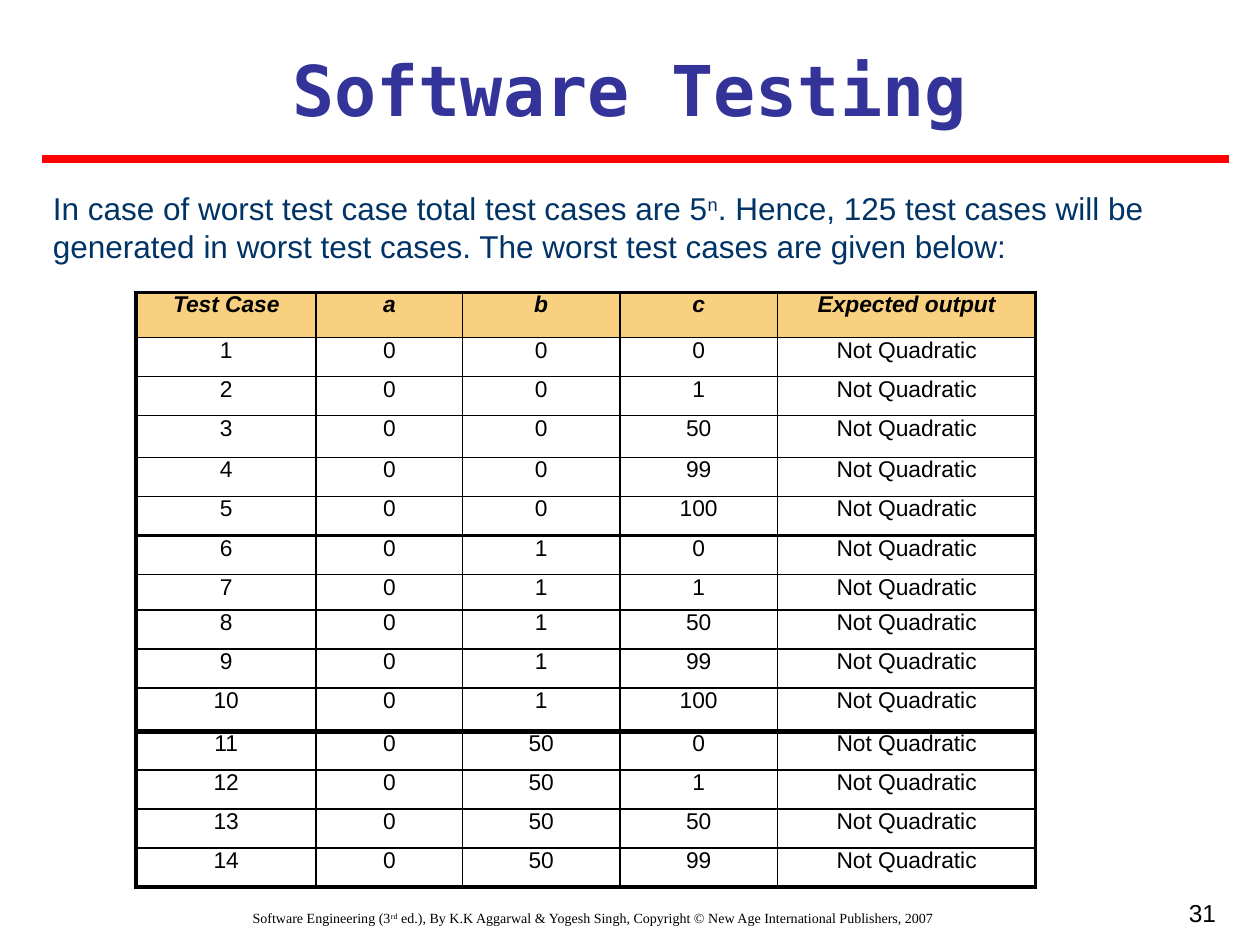
from itertools import product

from lxml.etree import SubElement
from pptx import Presentation
from pptx.dml.color import RGBColor
from pptx.enum.shapes import MSO_CONNECTOR
from pptx.enum.text import MSO_ANCHOR, PP_ALIGN
from pptx.oxml.ns import qn
from pptx.util import Inches, Pt

COLORS = {
    "title": "333399",
    "rule": "FF0000",
    "intro": "003366",
    "text": "000000",
    "border": "000000",
    "header": "F8D080",
}
THIN, THICK = 1, 2.25
COLUMN_WIDTHS = [1.43, 1.16, 1.25, 1.25, 2.05]
HEADER = ["Test Case", "a", "b", "c", "Expected output"]
BOUNDARY_VALUES = [0, 1, 50, 99, 100]
TABLE_LEFT = 1.08
# Top and row heights of each table
TABLE_ROWS = [
    (2.32, [0.36, 0.31, 0.31, 0.33, 0.31, 0.31]),
    (4.25, [0.31, 0.28, 0.31, 0.31, 0.35]),
    (5.8, [0.31] * 4),
]


def style_font(paragraph, name, size, color, bold=False, italic=False):
    font = paragraph.font
    font.name, font.size = name, Pt(size)
    font.bold, font.italic = bold, italic
    font.color.rgb = RGBColor.from_string(COLORS[color])


def add_title(slide, text, left, top, width, height):
    title = slide.shapes.title
    title.left, title.top = Inches(left), Inches(top)
    title.width, title.height = Inches(width), Inches(height)
    frame = title.text_frame
    frame.vertical_anchor = MSO_ANCHOR.MIDDLE
    frame.text = text
    frame.paragraphs[0].alignment = PP_ALIGN.CENTER
    style_font(frame.paragraphs[0], "DejaVu Sans Mono", 40, "title", bold=True)


def add_rule(slide, left, top, width):
    rule = slide.shapes.add_connector(
        MSO_CONNECTOR.STRAIGHT,
        Inches(left), Inches(top), Inches(left + width), Inches(top))
    rule.line.color.rgb = RGBColor.from_string(COLORS["rule"])
    rule.line.width = Pt(4.5)
    SubElement(rule._element.spPr, qn("a:effectLst"))


def add_text(slide, parts, left, top, width, height, font, size, color,
             align=PP_ALIGN.LEFT, inset=True):
    """Add a one-paragraph box; every second part is superscript."""
    box = slide.shapes.add_textbox(
        Inches(left), Inches(top), Inches(width), Inches(height))
    frame = box.text_frame
    frame.word_wrap = True
    if not inset:
        frame.margin_left = frame.margin_right = 0
        frame.margin_top = frame.margin_bottom = 0
    paragraph = frame.paragraphs[0]
    paragraph.alignment = align
    style_font(paragraph, font, size, color)
    for index, part in enumerate(parts):
        run = paragraph.add_run()
        run.text = part
        if index % 2:
            run.font._element.set("baseline", "30000")


def set_borders(cell, widths):
    """Draw the left, right, top and bottom borders in the given points."""
    properties = cell._tc.get_or_add_tcPr()
    for side, width in zip("LRTB", widths):
        line = SubElement(properties, qn(f"a:ln{side}"), w=str(Pt(width)))
        fill = SubElement(line, qn("a:solidFill"))
        SubElement(fill, qn("a:srgbClr"), val=COLORS["border"])


def fill_cell(cell, text, is_header):
    cell.margin_left = cell.margin_right = Inches(0.1)
    cell.margin_top = cell.margin_bottom = 0
    cell.text = str(text)
    paragraph = cell.text_frame.paragraphs[0]
    paragraph.alignment = PP_ALIGN.CENTER
    style_font(paragraph, "Arial", 13, "text", bold=is_header, italic=is_header)
    if is_header:
        cell.fill.solid()
        cell.fill.fore_color.rgb = RGBColor.from_string(COLORS["header"])
    else:
        cell.fill.background()


def add_case_table(slide, rows, left, top, row_heights):
    table = slide.shapes.add_table(
        len(rows), len(COLUMN_WIDTHS), Inches(left), Inches(top),
        Inches(sum(COLUMN_WIDTHS)), Inches(sum(row_heights))).table
    table.first_row = table.horz_banding = False
    for column, width in zip(table.columns, COLUMN_WIDTHS):
        column.width = Inches(width)
    last_row, last_column = len(rows) - 1, len(COLUMN_WIDTHS) - 1
    for r, (values, height) in enumerate(zip(rows, row_heights)):
        table.rows[r].height = Inches(height)
        for c, value in enumerate(values):
            cell = table.cell(r, c)
            outer_edges = (c == 0, c == last_column, r == 0, r == last_row)
            set_borders(cell, [THICK if outer else THIN for outer in outer_edges])
            fill_cell(cell, value, is_header=values is HEADER)


def add_case_tables(slide):
    inputs = product(BOUNDARY_VALUES, repeat=3)
    cases = ([number, *abc, "Not Quadratic"]
             for number, abc in enumerate(inputs, start=1))
    for index, (top, heights) in enumerate(TABLE_ROWS):
        rows = [HEADER] if index == 0 else []
        rows += [next(cases) for _ in heights[len(rows):]]
        add_case_table(slide, rows, TABLE_LEFT, top, heights)


def main():
    presentation = Presentation()
    presentation.slide_width, presentation.slide_height = Inches(10), Inches(7.5)
    slide = presentation.slides.add_slide(presentation.slide_layouts[5])

    add_text(slide,
             ["Software Engineering (3", "rd",
              " ed.), By K.K Aggarwal & Yogesh Singh, "
              "Copyright © New Age International Publishers, 2007"],
             0.25, 7.17, 8.92, 0.33, "Times New Roman", 8, "text", PP_ALIGN.CENTER)
    add_text(slide, ["31"], 7.42, 7.08, 2.33, 0.59, "Arial", 14, "text",
             PP_ALIGN.RIGHT)
    add_title(slide, "Software Testing", 0.33, 0.32, 9.33, 0.77)
    add_rule(slide, 0.33, 1.26, 9.42)
    add_text(slide,
             ["In case of worst test case total test cases are 5", "n",
              ". Hence, 125 test cases will be generated in worst test cases. "
              "The worst test cases are given below:"],
             0.42, 1.5, 9.28, 0.6, "Arial", 18, "intro", inset=False)
    add_case_tables(slide)
    presentation.save("out.pptx")


if __name__ == "__main__":
    main()
